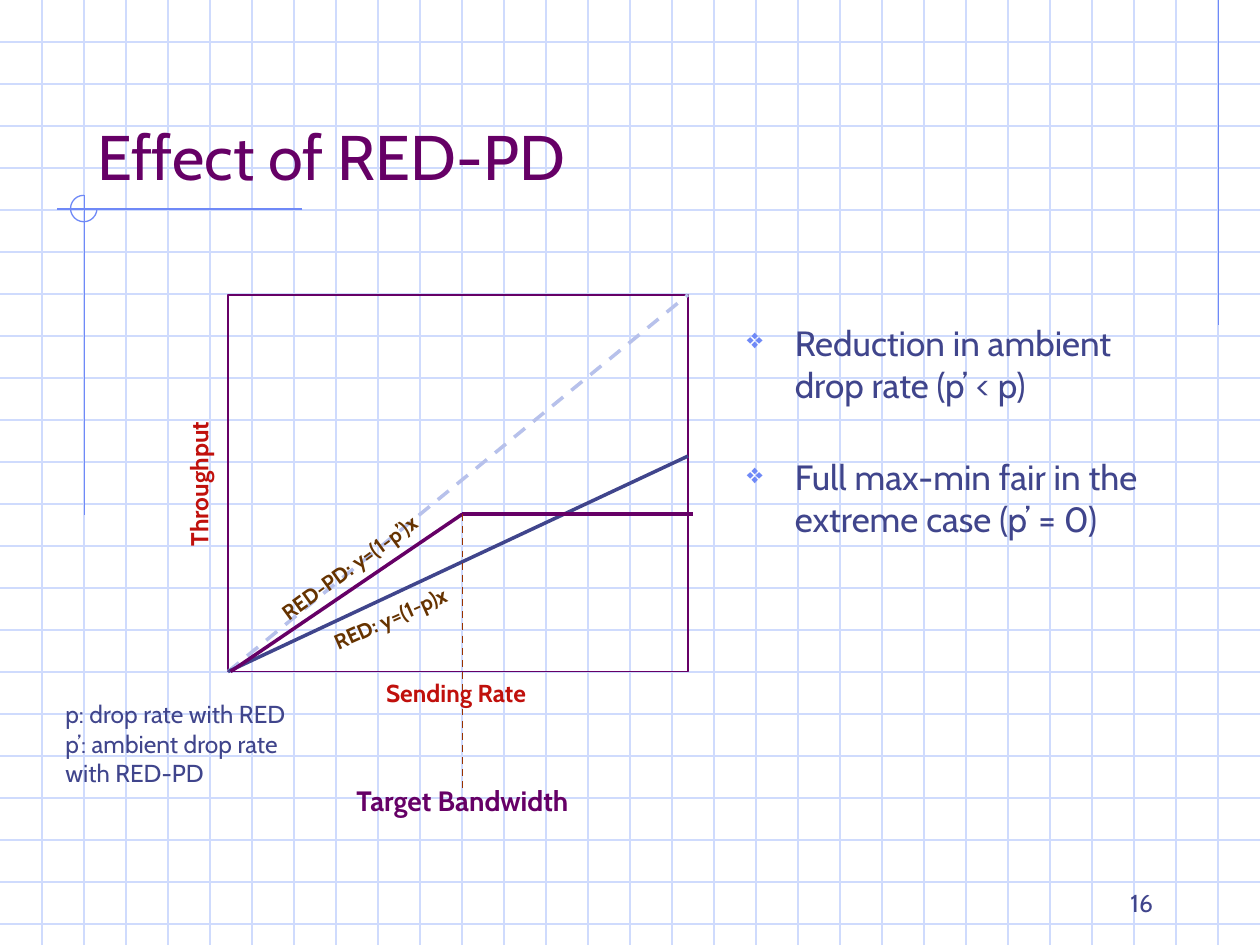
from dataclasses import dataclass

from lxml import etree
from pptx import Presentation
from pptx import util as u
from pptx.dml.color import RGBColor
from pptx.enum import dml, shapes, text
from pptx.oxml.ns import qn

FONT = "Cabin"
PURPLE = RGBColor(0x66, 0x00, 0x66)
INDIGO = RGBColor(0x40, 0x45, 0x8C)
RED = RGBColor(0xC0, 0x10, 0x0C)
BROWN = RGBColor(0x66, 0x33, 0x00)
RUST = RGBColor(0x99, 0x33, 0x00)
PALE = RGBColor(0xB7, 0xC1, 0xEB)
BLUE = RGBColor(0x6F, 0x89, 0xF7)
GRID = RGBColor(0xCF, 0xDB, 0xFD)

WIDE, HIGH = 10, 7.5
STEP = 1 / 3
LEFT, TOP, RIGHT, BASE = 1.81, 2.34, 5.46, 5.33
KNEE = (3.67, 4.08)


@dataclass
class Line:
    start: tuple[float, float]
    end: tuple[float, float]
    color: RGBColor
    width: float = 0.75
    dash: bool = False


@dataclass
class Label:
    words: str
    box: tuple[float, float, float, float]
    size: float
    color: RGBColor
    bold: bool = False
    align: text.PP_ALIGN = text.PP_ALIGN.LEFT
    turn: float = 0
    anchor: text.MSO_ANCHOR = text.MSO_ANCHOR.TOP


MARKS = [
    Line((9.67, 0), (9.67, 2.58), BLUE),
    Line((2.4, 1.66), (0.45, 1.66), BLUE),
    Line((0.67, 1.55), (0.67, 4.09), BLUE),
]
CURVES = [
    Line((LEFT, BASE), (RIGHT, TOP), PALE, 2, True),
    Line((LEFT, BASE), (RIGHT, 3.62), INDIGO, 2),
    Line((1.83, BASE), KNEE, PURPLE, 2),
    Line(KNEE, (5.5, KNEE[1]), PURPLE, 2),
    Line(KNEE, (KNEE[0], 6.25), RUST, 1, True),
]
MID = text.PP_ALIGN.CENTER
LABELS = [
    Label("Throughput", (0.08, 3.67, 3, 0.34), 14, RED, True, MID, 270),
    Label("Sending Rate", (1.83, 5.33, 3.58, 0.34), 14, RED, True, MID),
    Label("Target Bandwidth", (2.42, 6.17, 2.5, 0.37), 16, PURPLE, True, MID),
    Label("RED-PD: y=(1-p’)x", (2, 4.25, 1.83, 0.3), 12, BROWN, True, turn=324),
    Label("RED: y=(1-p)x", (2.5, 4.67, 1.58, 0.3), 12, BROWN, True, turn=336),
    Label("p: drop rate with RED\vp’: ambient drop rate\vwith RED-PD",
          (0.42, 5.5, 2.17, 0.8), 14, INDIGO),
    Label("16", (7.17, 6.83, 2.08, 0.5), 14, INDIGO,
          align=text.PP_ALIGN.RIGHT, anchor=text.MSO_ANCHOR.BOTTOM),
]
POINTS = Label("Reduction in ambient drop rate (p’ < p)\n"
               "Full max-min fair in the extreme case (p’ = 0)",
               (5.83, 2.5, 3.5, 4.5), 20, INDIGO)
TITLE = Label("Effect of RED-PD", (0.67, 0.33, 8.5, 1.25), 36, PURPLE,
              anchor=text.MSO_ANCHOR.BOTTOM)


def inches(nums) -> list[u.Length]:
    return [u.Inches(n) for n in nums]


def draw_line(slide, line: Line) -> None:
    link = slide.shapes.add_connector(
        shapes.MSO_CONNECTOR.STRAIGHT, *inches(line.start + line.end))
    link.line.color.rgb = line.color
    link.line.width = u.Pt(line.width)
    if line.dash:
        link.line.dash_style = dml.MSO_LINE.DASH
    etree.SubElement(link._element.spPr, qn("a:effectLst"))


def draw_shape(slide, kind, box, color: RGBColor):
    """Add an unfilled outline shape."""
    shape = slide.shapes.add_shape(kind, *inches(box))
    shape.shadow.inherit = False
    shape.fill.background()
    shape.line.color.rgb = color
    shape.line.width = u.Pt(0.75)
    return shape


def fill_text(shape, label: Label) -> None:
    frame = shape.text_frame
    frame.text = label.words
    frame.word_wrap = True
    frame.auto_size = text.MSO_AUTO_SIZE.NONE
    frame.vertical_anchor = label.anchor
    shape.rotation = label.turn
    for para in frame.paragraphs:
        para.alignment = label.align
        for run in para.runs:
            run.font.name = FONT
            run.font.size = u.Pt(label.size)
            run.font.bold = label.bold
            run.font.color.rgb = label.color


def draw_label(slide, label: Label):
    box = slide.shapes.add_textbox(*inches(label.box))
    fill_text(box, label)
    return box


def add_bullet(para) -> None:
    props = para._p.get_or_add_pPr()
    props.set("marL", str(u.Inches(0.38)))
    props.set("indent", str(u.Inches(-0.38)))
    color = etree.SubElement(props, qn("a:buClr"))
    etree.SubElement(color, qn("a:srgbClr"), val=str(BLUE))
    etree.SubElement(props, qn("a:buSzPct"), val="80000")
    etree.SubElement(props, qn("a:buChar"), char="❖")


def draw_back(slide) -> None:
    """Draw the squared paper and the corner marks."""
    for n in range(1, 23):
        draw_line(slide, Line((0, n * STEP), (WIDE, n * STEP), GRID))
    for n in range(1, 30):
        draw_line(slide, Line((n * STEP, 0), (n * STEP, HIGH), GRID))
    for mark in MARKS:
        draw_line(slide, mark)
    arc = draw_shape(slide, shapes.MSO_SHAPE.ARC, (0.56, 1.55, 0.21, 0.21), BLUE)
    arc.adjustments[0] = 0
    arc.adjustments[1] = 162  # 270 degrees


def draw_title(slide) -> None:
    title = slide.shapes.title
    title.left, title.top, title.width, title.height = inches(TITLE.box)
    fill_text(title, TITLE)
    slide.shapes._spTree.append(title._element)  # in front of the grid


def draw_points(slide) -> None:
    paras = draw_label(slide, POINTS).text_frame.paragraphs
    for para in paras:
        add_bullet(para)
    paras[1].space_before = u.Pt(29)


def main() -> None:
    deck = Presentation()
    deck.slide_width, deck.slide_height = inches((WIDE, HIGH))
    slide = deck.slides.add_slide(deck.slide_layouts[5])
    draw_back(slide)
    draw_title(slide)
    draw_points(slide)
    draw_shape(slide, shapes.MSO_SHAPE.RECTANGLE,
               (LEFT, TOP, RIGHT - LEFT, BASE - TOP), PURPLE)
    for curve in CURVES:
        draw_line(slide, curve)
    for label in LABELS:
        draw_label(slide, label)
    deck.save("out.pptx")


if __name__ == "__main__":
    main()
